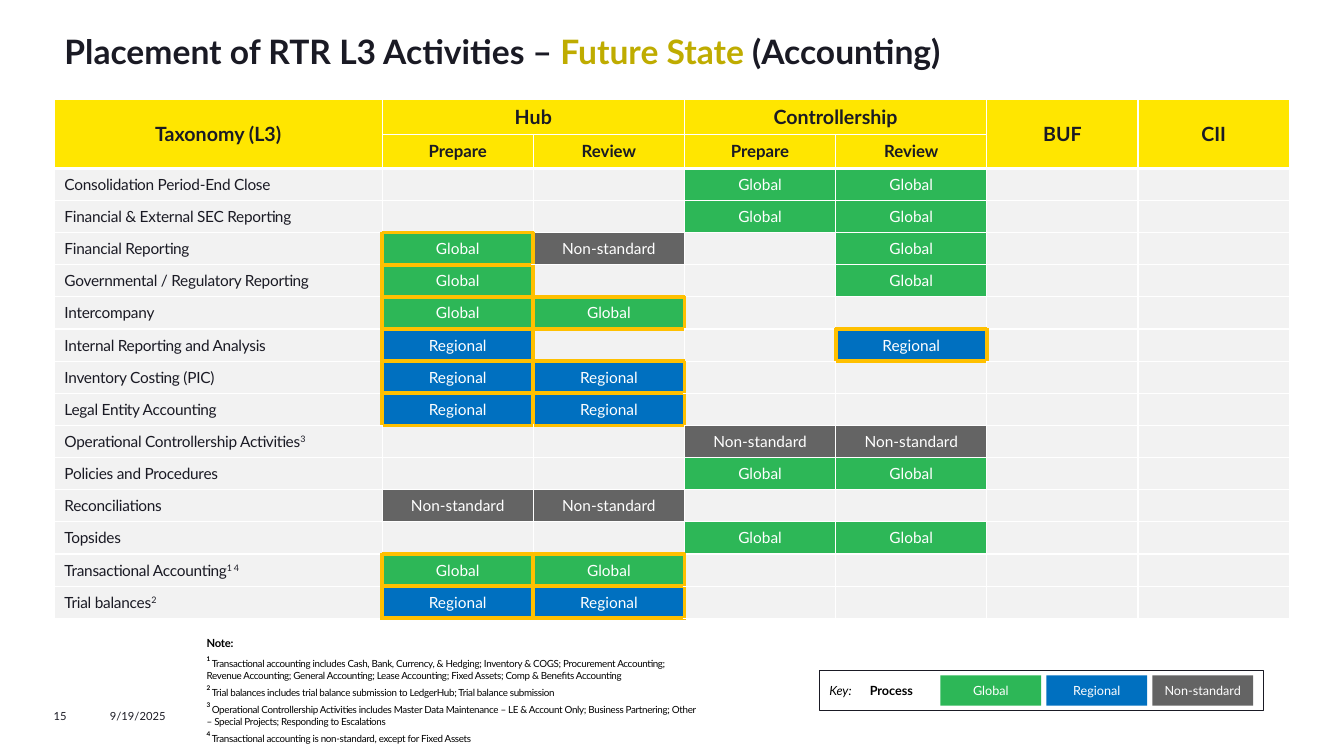
from lxml.etree import SubElement
from pptx import Presentation
from pptx.dml.color import RGBColor
from pptx.enum.shapes import MSO_SHAPE as Shape
from pptx.enum.text import MSO_ANCHOR as Anchor, PP_ALIGN as Align
from pptx.oxml import parse_xml
from pptx.oxml.ns import nsdecls, qn
from pptx.util import Cm, Pt

# Content
TITLE = [("Placement of RTR L3 Activities – ", "ink"), ("Future State", "olive"), (" (Accounting)", "ink")]
FOOTER = [("15", 1.35, 1.42), ("9/19/2025", 2.77, 3.56)]  # text, left, width
HEADERS = [  # text, top-left cell, bottom-right cell, size
    ("Taxonomy (L3)", (0, 0), (1, 0), 14),
    ("Hub", (0, 1), (0, 2), 14),
    ("Controllership", (0, 3), (0, 4), 14),
    ("BUF", (0, 5), (1, 5), 14),
    ("CII", (0, 6), (1, 6), 14),
    ("Prepare", (1, 1), (1, 1), 12),
    ("Review", (1, 2), (1, 2), 12),
    ("Prepare", (1, 3), (1, 3), 12),
    ("Review", (1, 4), (1, 4), 12),
]
PROCESS = {"G": ("Global", "green"), "R": ("Regional", "blue"), "N": ("Non-standard", "grey")}
# Activity, note marks, then Hub prepare / review and Controllership prepare / review; + adds a gold outline
ACTIVITIES = [
    ("Consolidation Period-End Close", "", ["", "", "G", "G"]),
    ("Financial & External SEC Reporting", "", ["", "", "G", "G"]),
    ("Financial Reporting", "", ["G+", "N", "", "G"]),
    ("Governmental / Regulatory Reporting", "", ["G+", "", "", "G"]),
    ("Intercompany", "", ["G+", "G+", "", ""]),
    ("Internal Reporting and Analysis", "", ["R+", "", "", "R+"]),
    ("Inventory Costing (PIC)", "", ["R+", "R+", "", ""]),
    ("Legal Entity Accounting", "", ["R+", "R+", "", ""]),
    ("Operational Controllership Activities", "3", ["", "", "N", "N"]),
    ("Policies and Procedures", "", ["", "", "G", "G"]),
    ("Reconciliations", "", ["N", "N", "", ""]),
    ("Topsides", "", ["", "", "G", "G"]),
    ("Transactional Accounting", "1 4", ["G+", "G+", "", ""]),
    ("Trial balances", "2", ["R+", "R+", "", ""]),
]
NOTES = [
    "Transactional accounting includes Cash, Bank, Currency, & Hedging; Inventory & COGS; Procurement Accounting; "
    "Revenue Accounting; General Accounting; Lease Accounting; Fixed Assets; Comp & Benefits Accounting",
    "Trial balances includes trial balance submission to LedgerHub; Trial balance submission",
    "Operational Controllership Activities includes Master Data Maintenance – LE & Account Only; "
    "Business Partnering; Other – Special Projects; Responding to Escalations",
    "Transactional accounting is non-standard, except for Fixed Assets",
]
COLORS = {
    "ink": "1A1A24", "olive": "BFAC00", "yellow": "FFE600", "pale": "F2F2F2", "white": "FFFFFF",
    "black": "000000", "green": "2DB757", "blue": "0070C0", "grey": "646464", "gold": "FFC000",
}
FONT = "Lato"
HEAD_ROWS, COLS = 2, 7


def rgb(name):
    return RGBColor.from_string(COLORS[name])


def add_run(p, text, size=11, color="ink", bold=False, italic=False, spacing=0, raised=0, align=None):
    r = p.add_run()
    r.text = text
    r.font.name, r.font.size = FONT, Pt(size)
    r.font.bold, r.font.italic = bold, italic
    r.font.color.rgb = rgb(color)
    rPr = r._r.get_or_add_rPr()
    if spacing:
        rPr.set("spc", str(round(spacing * 100)))
    if raised:
        rPr.set("baseline", str(raised * 1000))
    if align is not None:
        p.alignment = align


def add_box(left, top, width, height, inset=0, anchor=Anchor.TOP):
    tf = s.shapes.add_textbox(Cm(left), Cm(top), Cm(width), Cm(height)).text_frame
    tf.word_wrap, tf.vertical_anchor = True, anchor
    tf.margin_left = tf.margin_right = tf.margin_top = tf.margin_bottom = Cm(inset)
    return tf


def add_rect(left, top, width, height, fill=None, line=None):
    sp = s.shapes.add_shape(Shape.RECTANGLE, Cm(left), Cm(top), Cm(width), Cm(height))
    sp.shadow.inherit = False
    if fill:
        sp.fill.solid()
        sp.fill.fore_color.rgb = rgb(fill)
    else:
        sp.fill.background()
    if line:
        sp.line.color.rgb, sp.line.width = rgb(line), Pt(0.5)
    else:
        sp.line.fill.background()
    sp.text_frame.vertical_anchor = Anchor.MIDDLE
    return sp.text_frame.paragraphs[0]


def set_borders(cell, sides):
    tcPr = cell._tc.get_or_add_tcPr()
    for i, (side, (color, width)) in enumerate(sides.items()):
        tcPr.insert(i, parse_xml(
            f'<a:ln{side} {nsdecls("a")} w="{Pt(width)}" cap="flat" cmpd="sng"><a:solidFill>'
            f'<a:srgbClr val="{COLORS[color]}"/></a:solidFill><a:prstDash val="solid"/></a:ln{side}>'))


prs = Presentation()
prs.slide_width, prs.slide_height = Cm(33.87), Cm(19.05)
s = prs.slides.add_slide(prs.slide_layouts[5])

# Title
title = s.shapes.title
title.left, title.top, title.width, title.height = Cm(1.37), Cm(0.64), Cm(31.12), Cm(1.52)
tf = title.text_frame
tf.vertical_anchor, tf.margin_bottom = Anchor.TOP, 0
for text, color in TITLE:
    add_run(tf.paragraphs[0], text, size=24, color=color, bold=True, align=Align.LEFT)

# Table grid
n_rows = HEAD_ROWS + len(ACTIVITIES)
table = s.shapes.add_table(n_rows, COLS, Cm(1.37), Cm(2.51), Cm(31.12), Cm(13.07)).table
for i, col in enumerate(table.columns):
    col.width = Cm(3.81 if i else 8.26)
for i, row in enumerate(table.rows):
    row.height = Cm([0.88, 0.85][i] if i < HEAD_ROWS else 0.81)

# Table text and fills
fills = {(r, c): "yellow" if r < HEAD_ROWS else "pale" for r in range(n_rows) for c in range(COLS)}
outlined = set()
for text, first, last, size in HEADERS:
    cell = table.cell(*first)
    if first != last:
        cell.merge(table.cell(*last))
    add_run(cell.text_frame.paragraphs[0], text, size=size, bold=True, align=Align.CENTER)
for r, (activity, marks, codes) in enumerate(ACTIVITIES, HEAD_ROWS):
    p = table.cell(r, 0).text_frame.paragraphs[0]
    add_run(p, activity, spacing=-0.2)
    if marks:
        add_run(p, marks, spacing=-0.2, raised=30)
    for c, code in enumerate(codes, 1):
        if code:
            text, fills[r, c] = PROCESS[code[0]]
            add_run(table.cell(r, c).text_frame.paragraphs[0], text, color="white", align=Align.CENTER)
        if code.endswith("+"):
            outlined.add((r, c))

# Table borders: gold beside any outlined cell, thicker white under the header
for (r, c), fill in fills.items():
    cell = table.cell(r, c)
    cell.vertical_anchor = Anchor.MIDDLE
    cell.fill.solid()
    cell.fill.fore_color.rgb = rgb(fill)
    p = cell.text_frame.paragraphs[0]
    if not p.runs:
        p._p.get_or_add_endParaRPr().set("sz", "1100")
    neighbours = {"L": (r, c - 1), "R": (r, c + 1), "T": (r - 1, c), "B": (r + 1, c)}
    sides = {}
    for side, other in neighbours.items():
        under_header = {r, other[0]} == {HEAD_ROWS - 1, HEAD_ROWS}
        sides[side] = ("gold", 3) if outlined & {(r, c), other} else ("white", 2.25 if under_header else 1)
    set_borders(cell, sides)

# Notes
tf = add_box(5.08, 16, 12.7, 2.79, inset=0.13, anchor=Anchor.MIDDLE)
p = tf.paragraphs[0]
p.space_after = Pt(2)
add_run(p, "Note:", size=8, color="black", bold=True, spacing=-0.2)
for i, note in enumerate(NOTES, 1):
    p = tf.add_paragraph()
    p.space_before = Pt(2)
    add_run(p, f"{i} ", size=8, color="black", bold=True, spacing=-0.2, raised=50)
    add_run(p, note, size=7, color="black", spacing=-0.2)

# Key
p = add_rect(20.65, 16.89, 11.18, 1.02, line="ink")
tabs = SubElement(p._p.get_or_add_pPr(), qn("a:tabLst"))
SubElement(tabs, qn("a:tab"), pos=str(Cm(1.02)), algn="l")
add_run(p, "Key:\t", size=9, color="black", italic=True, align=Align.LEFT)
add_run(p, "Process", size=9, color="black", bold=True)
for i, (text, color) in enumerate(PROCESS.values()):
    p = add_rect(23.7 + 2.67 * i, 17.02, 2.54, 0.76, fill=color)
    add_run(p, text, size=9, color="white", align=Align.CENTER)

# Footer
for text, left, width in FOOTER:
    add_run(add_box(left, 17.88, width, 0.33).paragraphs[0], text, size=8)

prs.save("out.pptx")
